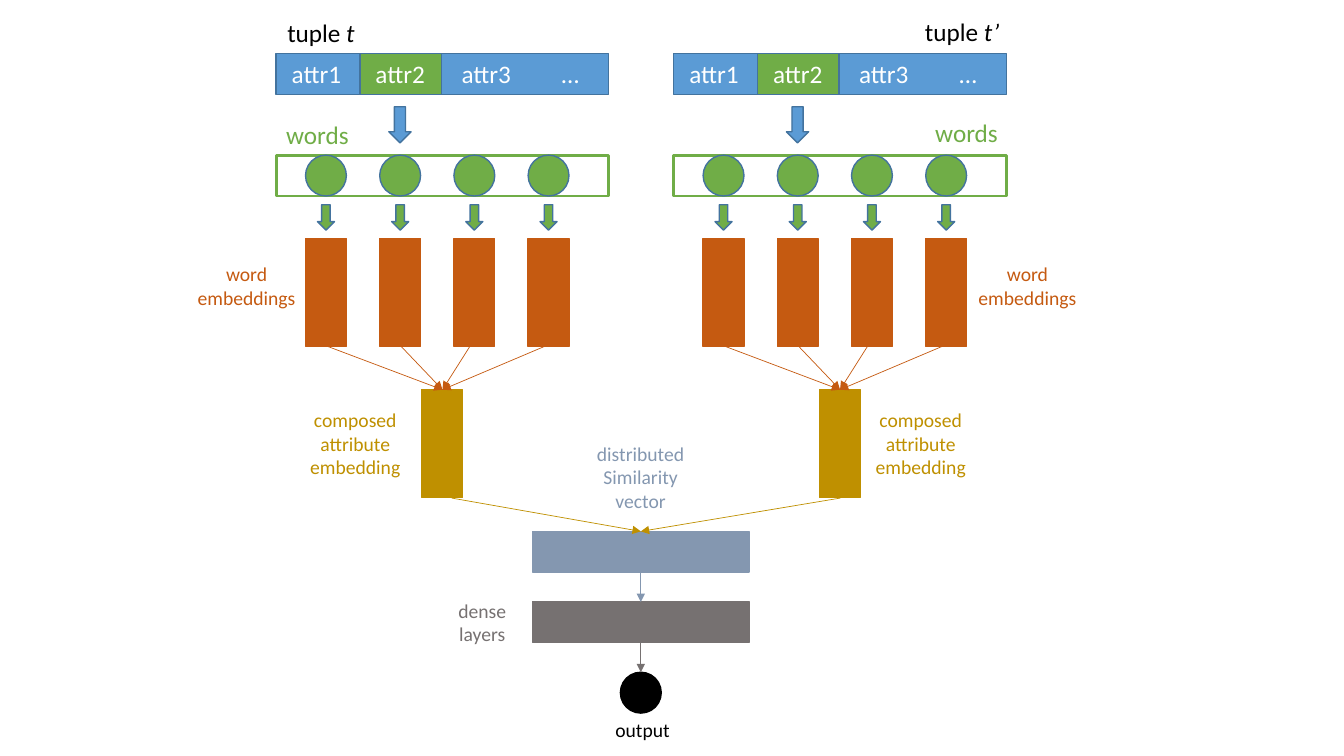
from pptx import Presentation
from pptx.dml.color import RGBColor
from pptx.enum.shapes import MSO_CONNECTOR, MSO_SHAPE
from pptx.enum.text import MSO_AUTO_SIZE, PP_ALIGN
from pptx.oxml.ns import qn
from pptx.util import Cm, Pt
from lxml import etree

RECTANGLE, OVAL, DOWN_ARROW = MSO_SHAPE.RECTANGLE, MSO_SHAPE.OVAL, MSO_SHAPE.DOWN_ARROW
STRAIGHT = MSO_CONNECTOR.STRAIGHT
LEFT, CENTER = PP_ALIGN.LEFT, PP_ALIGN.CENTER
FIT_TEXT = MSO_AUTO_SIZE.SHAPE_TO_FIT_TEXT

COLORS = {
    "white": "FFFFFF", "black": "000000", "blue": "5B9BD5", "outline": "43739E",
    "green": "70AD47", "orange": "C55A11", "gold": "BF9000",
    "slate": "8497B0", "gray": "767171",
}
FONT = "Calibri"
BAR = 1.03             # thickness of every bar and diameter of every circle
BAR_LENGTH = 2.72      # height of the embedding bars
WORD_START, WORD_PITCH = 0.74, 1.87
MIDDLE = 16.15         # axis of the shared lower part

presentation = Presentation()
presentation.slide_width, presentation.slide_height = Cm(33.87), Cm(19.05)
slide = presentation.slides.add_slide(presentation.slide_layouts[6])


def add_shape(kind, left, top, width, height, fill=None, line="outline", weight=1):
    shape = slide.shapes.add_shape(kind, Cm(left), Cm(top), Cm(width), Cm(height))
    shape.shadow.inherit = False
    if fill:
        shape.fill.solid()
        shape.fill.fore_color.rgb = RGBColor.from_string(COLORS[fill])
    else:
        shape.fill.background()
    shape.line.color.rgb = RGBColor.from_string(COLORS[line])
    shape.line.width = Pt(weight)


def add_text(text, left, top, width=3.23, height=1.02, size=14, color="black",
             align=CENTER, italic_end=""):
    box = slide.shapes.add_textbox(Cm(left), Cm(top), Cm(width), Cm(height))
    frame = box.text_frame
    frame.word_wrap = True
    frame.auto_size = FIT_TEXT
    frame.text = text
    if italic_end:
        frame.paragraphs[-1].add_run().text = italic_end
        frame.paragraphs[-1].runs[-1].font.italic = True
    for paragraph in frame.paragraphs:
        paragraph.alignment = align
        for run in paragraph.runs:
            run.font.name = FONT
            run.font.size = Pt(size)
            run.font.color.rgb = RGBColor.from_string(COLORS[color])


arrows = []  # start x, start y, end x, end y, colour

# Two mirrored networks, one per tuple
for side in (6.96, 16.98):
    # Attributes of the tuple
    add_shape(RECTANGLE, side, 1.35, 8.38, BAR, "blue")
    add_shape(RECTANGLE, side + 2.11, 1.35, 2.06, BAR, "green")
    for name, offset, width in (("attr1", 0, 2.03), ("attr2", 2.11, 2.03),
                                ("attr3", 4.14, 2.31), ("…", 6.45, 1.93)):
        add_text(name, side + offset, 1.35, width, size=18, color="white")
    add_shape(DOWN_ARROW, side + 2.84, 2.69, 0.56, 0.91, "blue")

    # Words and their embeddings
    add_shape(RECTANGLE, side, 3.91, 8.38, BAR, line="green", weight=2)
    for index in range(4):
        left = side + WORD_START + index * WORD_PITCH
        add_shape(OVAL, left, 3.91, BAR, BAR, "green")
        add_shape(DOWN_ARROW, left + 0.3, 5.16, 0.43, 0.64, "green")
        add_shape(RECTANGLE, left, 6.01, BAR, BAR_LENGTH, "orange", "orange")

    # Composed attribute embedding
    add_shape(RECTANGLE, side + 3.67, 9.82, BAR, BAR_LENGTH, "gold", "gold")
    for offset in (1.3, 3.15, 4.88, 6.76):
        arrows.append((side + offset, 8.73, side + 4.19, 9.82, "orange"))

# Labels of the two networks
add_text("tuple ", 6.99, 0.3, 2.87, size=18, align=LEFT, italic_end="t")
add_text("tuple ", 23.06, 0.28, 2.39, size=18, align=LEFT, italic_end="t’")
add_text("words", 6.96, 2.87, 2.87, size=18, color="green", align=LEFT)
add_text("words", 23.32, 2.82, 2.36, size=18, color="green", align=LEFT)
for left in (4.6, 24.28):
    add_text("word\nembeddings", left, 6.48, height=1.45, color="orange")
for left in (7.34, 21.59):
    add_text("composed attribute\nembedding", left, 10.16, height=2.06, color="gold")

# Similarity vector, dense layers and output
for top, color in ((13.39, "slate"), (15.16, "gray")):
    add_shape(RECTANGLE, MIDDLE - 2.73, top, 5.46, BAR, color, color)
    arrows.append((MIDDLE, top + BAR, MIDDLE, top + 1.78, color))
add_shape(OVAL, MIDDLE - BAR / 2, 16.94, BAR, BAR, "black", "black")
add_text("distributed\nSimilarity\nvector", 14.53, 11, height=2.06, color="slate")
add_text("dense\nlayers", 10.54, 14.96, height=1.45, color="gray")
add_text("output", 14.58, 17.96, height=0.86)
for start in (11.38, 21.18):
    arrows.append((start, 12.55, MIDDLE, 13.39, "gold"))

# Thin arrows
for start_x, start_y, end_x, end_y, color in arrows:
    connector = slide.shapes.add_connector(
        STRAIGHT, Cm(start_x), Cm(start_y), Cm(end_x), Cm(end_y))
    connector.line.color.rgb = RGBColor.from_string(COLORS[color])
    connector.line.width = Pt(0.5)
    properties = connector._element.spPr
    etree.SubElement(properties.find(qn("a:ln")), qn("a:tailEnd"), type="triangle")
    etree.SubElement(properties, qn("a:effectLst"))

presentation.save("out.pptx")
